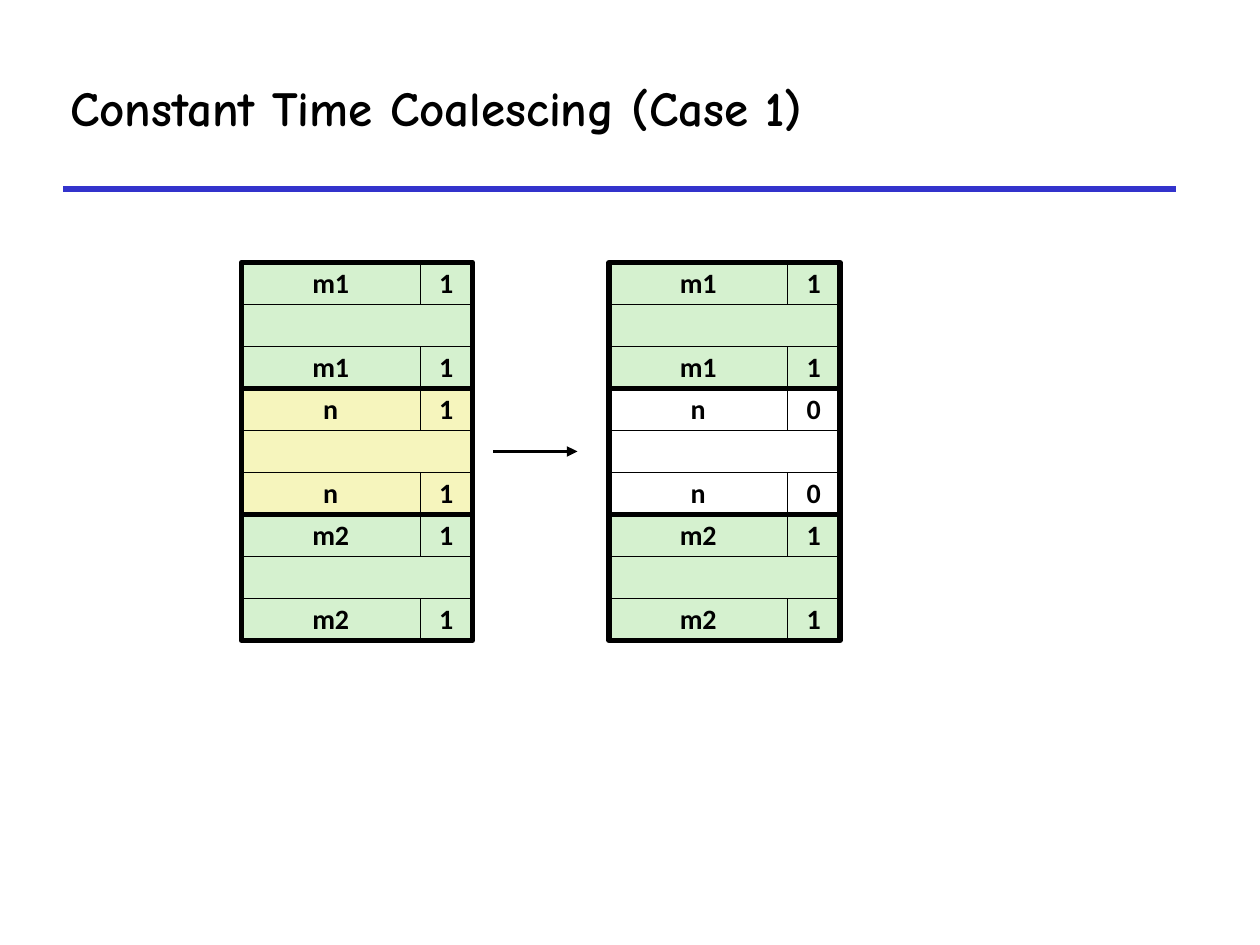
from lxml.etree import SubElement
from pptx import Presentation
from pptx.dml.color import RGBColor
from pptx.enum.shapes import MSO_CONNECTOR, MSO_SHAPE
from pptx.enum.text import MSO_ANCHOR, PP_ALIGN
from pptx.oxml.ns import qn
from pptx.util import Inches, Pt

deck = Presentation()
deck.slide_width, deck.slide_height = Inches(10), Inches(7.5)
slide = deck.slides.add_slide(deck.slide_layouts[5])
shapes = slide.shapes

# Grid of 120 columns by 90 rows
unit = deck.slide_width // 120
hue = RGBColor.from_string
black, white, green, yellow = "000000", "FFFFFF", "D5F1CF", "F6F5BD"


def box(col, row, wide, high, fill, edge, text=""):
    rect = shapes.add_shape(MSO_SHAPE.RECTANGLE, col * unit, row * unit,
                            wide * unit, high * unit)
    rect.shadow.inherit = False
    if fill:
        rect.fill.solid()
        rect.fill.fore_color.rgb = hue(fill)
    else:
        rect.fill.background()
    rect.line.color.rgb = hue(black)
    rect.line.width = Pt(edge)
    if text:
        frame = rect.text_frame
        frame.text = text
        frame.word_wrap = False
        frame.vertical_anchor = MSO_ANCHOR.MIDDLE
        para = frame.paragraphs[0]
        para.alignment = PP_ALIGN.CENTER
        para.line_spacing = 0.98
        font = para.runs[0].font
        font.name, font.size, font.bold = "Calibri", Pt(16), True
        font.color.rgb = hue(black)


def rule(start, end, row, color, width):
    line = shapes.add_connector(MSO_CONNECTOR.STRAIGHT, start * unit, row * unit,
                                end * unit, row * unit)
    line.line.color.rgb = hue(color)
    line.line.width = Pt(width)
    SubElement(line._element.spPr, qn("a:effectLst"))
    return line


# Title and the rule below it
title = shapes.title
title.left, title.top = int(5.5 * unit), int(6.4 * unit)
title.width, title.height = 109 * unit, int(7.6 * unit)
frame = title.text_frame
frame.text = "Constant Time Coalescing (Case 1)"
frame.vertical_anchor = MSO_ANCHOR.MIDDLE
frame.paragraphs[0].alignment = PP_ALIGN.LEFT
font = frame.paragraphs[0].runs[0].font
font.name, font.size, font.bold = "Comic Neue", Pt(28), True
font.color.rgb = hue(black)
rule(6, 112, 18, "3333CC", 3)

# Heap before and after: each block has a header, a body and a footer
first, high = 25, 4
size, flag = 17, 5
heaps = [
    (23, [("m1", "1", green), ("n", "1", yellow), ("m2", "1", green)]),
    (58, [("m1", "1", green), ("n", "0", white), ("m2", "1", green)]),
]
for left, blocks in heaps:
    for index, (name, bit, fill) in enumerate(blocks):
        top = first + index * 3 * high
        for row in (top, top + 2 * high):
            box(left, row, size, high, fill, 0.25, name)
            box(left + size, row, flag, high, fill, 0.25, bit)
        box(left, top + high, size + flag, high, fill, 0.25)
        box(left, top, size + flag, 3 * high, None, 3)

# Arrow from before to after
arrow = rule(47, 55, 43, black, 2)
SubElement(arrow.line._get_or_add_ln(), qn("a:tailEnd"), type="triangle")

deck.save("out.pptx")
